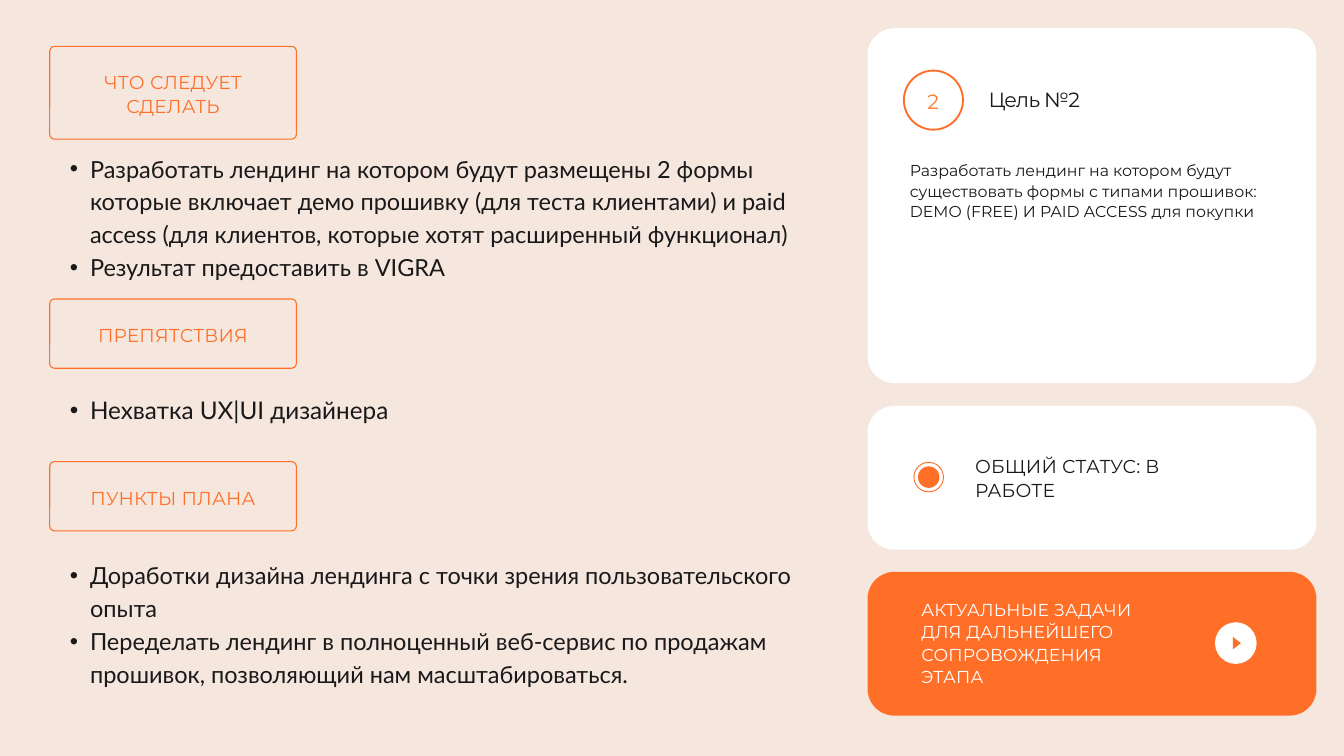
from dataclasses import dataclass

from lxml import etree
from pptx import Presentation
from pptx import util as u
from pptx.dml.color import RGBColor
from pptx.enum import shapes, text
from pptx.oxml.ns import qn


@dataclass(frozen=True)
class Theme:
    """Colours, fonts and type sizes of the slide."""
    background: str = "F6E7DE"
    accent: str = "FF6F28"
    number: str = "FF7B26"
    ink: str = "191919"
    white: str = "FFFFFF"
    label_font: str = "Montserrat"
    list_font: str = "Lato"
    title: float = 22
    label: float = 20
    tasks: float = 18.5
    summary: float = 16.9
    bullet: float = 25.2
    large_bullet: float = 26


THEME = Theme()
LEFT = 0.74
BADGE_WIDTH = 3.67
CARD_LEFT = 12.91
CARD_WIDTH = 6.68
CARD_RADIUS = 0.4
SECTIONS = [
    ("ЧТО СЛЕДУЕТ СДЕЛАТЬ", 0.69, 1.38, 2.23, 1.95, THEME.bullet, [
        "Разработать лендинг на котором будут размещены 2 формы которые "
        "включает демо прошивку (для теста клиентами) и paid access "
        "(для клиентов, которые хотят расширенный функционал)",
        "Результат предоставить в VIGRA"]),
    ("ПРЕПЯТСТВИЯ", 4.45, 1.03, 5.81, 0.49, THEME.large_bullet, [
        "Нехватка UX|UI дизайнера"]),
    ("ПУНКТЫ ПЛАНА", 6.87, 1.03, 8.28, 1.95, THEME.bullet, [
        "Доработки дизайна лендинга с точки зрения пользовательского опыта",
        "Переделать лендинг в полноценный веб-сервис по продажам прошивок, "
        "позволяющий нам масштабироваться."]),
]


def place(shape, left, top, width, height):
    """Set the position and size of a shape in inches."""
    shape.left, shape.top = u.Inches(left), u.Inches(top)
    shape.width, shape.height = u.Inches(width), u.Inches(height)


def add_figure(slide, kind, box, fill=None, line=None, weight=1.0):
    """Add a flat preset shape with an optional fill and outline."""
    figure = slide.shapes.add_shape(kind, *map(u.Inches, box))
    figure.shadow.inherit = False
    if fill:
        figure.fill.solid()
        figure.fill.fore_color.rgb = RGBColor.from_string(fill)
    else:
        figure.fill.background()
    if line:
        figure.line.color.rgb = RGBColor.from_string(line)
        figure.line.width = u.Pt(weight)
    else:
        figure.line.fill.background()
    return figure


def add_rounded(slide, box, radius, **style):
    """Add a rounded rectangle with a corner radius in inches."""
    panel = add_figure(slide, shapes.MSO_SHAPE.ROUNDED_RECTANGLE, box, **style)
    panel.adjustments[0] = radius / min(box[2:])


def add_disc(slide, centre, diameter, **style):
    """Add a circle around a centre point."""
    x, y = centre
    box = (x - diameter / 2, y - diameter / 2, diameter, diameter)
    add_figure(slide, shapes.MSO_SHAPE.OVAL, box, **style)


def add_bullet(paragraph, indent):
    """Give a paragraph a round bullet with a hanging indent."""
    paragraph.level = 1
    properties = paragraph._p.get_or_add_pPr()
    properties.set("marL", str(u.Inches(2 * indent)))
    properties.set("indent", str(-u.Inches(indent)))
    etree.SubElement(properties, qn("a:buFont")).set("typeface", "Arial")
    etree.SubElement(properties, qn("a:buChar")).set("char", "•")


def write(holder, lines, size, leading, colour=THEME.ink, font=THEME.label_font,
          align=text.PP_ALIGN.LEFT, tracking=0.0, bullet_indent=None):
    """Fill a text holder with uniformly formatted paragraphs."""
    frame = holder.text_frame
    frame.word_wrap = True
    frame.auto_size = text.MSO_AUTO_SIZE.NONE
    frame.vertical_anchor = text.MSO_ANCHOR.TOP
    frame.margin_left = frame.margin_right = 0
    frame.margin_top = frame.margin_bottom = 0
    frame.text = "\n".join(lines)
    for paragraph in frame.paragraphs:
        paragraph.alignment = align
        paragraph.line_spacing = u.Pt(leading)
        paragraph.space_before = u.Pt(0)
        if bullet_indent:
            add_bullet(paragraph, bullet_indent)
        paragraph.font.size = u.Pt(size)
        paragraph.font.name = font
        paragraph.font.color.rgb = RGBColor.from_string(colour)
        if tracking:
            defaults = paragraph._p.pPr.find(qn("a:defRPr"))
            defaults.set("spc", str(round(tracking * 100)))


def add_text(slide, box, lines, size, leading, **style):
    """Add a text box and write into it."""
    holder = slide.shapes.add_textbox(*map(u.Inches, box))
    write(holder, lines, size, leading, **style)


def add_card(slide, top, height, fill=THEME.white):
    """Add one card of the right-hand column."""
    add_rounded(slide, (CARD_LEFT, top, CARD_WIDTH, height), CARD_RADIUS, fill=fill)


def add_section(slide, heading, top, height, list_top, list_height, size, items):
    """Add an outlined heading and the bullet list below it."""
    add_rounded(slide, (LEFT, top, BADGE_WIDTH, height), 0.07,
                line=THEME.accent, weight=1.2)
    add_text(slide, (LEFT + 0.3, top + 0.34, BADGE_WIDTH - 0.6, height - 0.68),
             [heading], THEME.label, 26, colour=THEME.accent,
             align=text.PP_ALIGN.CENTER, tracking=0.2)
    add_text(slide, (LEFT, list_top, 11.4, list_height), items, size, size * 1.4,
             font=THEME.list_font, bullet_indent=0.3)


def add_goal(slide):
    """Add the goal card with its number, title and summary."""
    add_card(slide, 0.42, 5.28)
    add_disc(slide, (13.89, 1.49), 0.88, line=THEME.accent, weight=2)
    add_text(slide, (13.63, 1.29, 0.51, 0.38), ["2"], THEME.title, 28.6,
             colour=THEME.number, align=text.PP_ALIGN.CENTER, tracking=-0.7)
    title = slide.shapes.title
    place(title, 14.71, 1.27, 3.1, 0.39)
    write(title, ["Цель №2"], THEME.title, 28.6, tracking=-0.7)
    slide.shapes.element.append(title.element)
    add_text(slide, (13.54, 2.37, 5.17, 1.22),
             ["Разработать лендинг на котором будут существовать формы с типами "
              "прошивок: DEMO (FREE) И PAID ACCESS для покупки"],
             THEME.summary, 22)


def add_status(slide):
    """Add the status card with its marker."""
    add_card(slide, 6.04, 2.14)
    marker = (13.82, 7.1)
    add_disc(slide, marker, 0.44, line=THEME.accent)
    add_disc(slide, marker, 0.32, fill=THEME.accent)
    add_text(slide, (14.51, 6.74, 3.07, 0.7), ["ОБЩИЙ СТАТУС: В РАБОТЕ"],
             THEME.label, 26, tracking=0.2)


def add_tasks(slide):
    """Add the orange tasks card with its play button."""
    add_card(slide, 8.51, 2.14, THEME.accent)
    add_disc(slide, (18.39, 9.57), 0.62, fill=THEME.white)
    arrow = add_figure(slide, shapes.MSO_SHAPE.ISOSCELES_TRIANGLE,
                       (18.31, 9.51, 0.19, 0.12), fill=THEME.accent)
    arrow.rotation = 90
    add_text(slide, (13.71, 8.89, 3.31, 1.34),
             ["АКТУАЛЬНЫЕ ЗАДАЧИ ДЛЯ ДАЛЬНЕЙШЕГО СОПРОВОЖДЕНИЯ ЭТАПА"],
             THEME.tasks, 24.1, colour=THEME.white, tracking=0.2)


def main():
    """Build the goal slide and save it."""
    deck = Presentation()
    deck.slide_width, deck.slide_height = u.Inches(20), u.Inches(11.25)
    slide = deck.slides.add_slide(deck.slide_layouts.get_by_name("Title Only"))
    slide.background.fill.solid()
    slide.background.fill.fore_color.rgb = RGBColor.from_string(THEME.background)
    add_goal(slide)
    add_status(slide)
    add_tasks(slide)
    for section in SECTIONS:
        add_section(slide, *section)
    deck.save("out.pptx")


if __name__ == "__main__":
    main()
